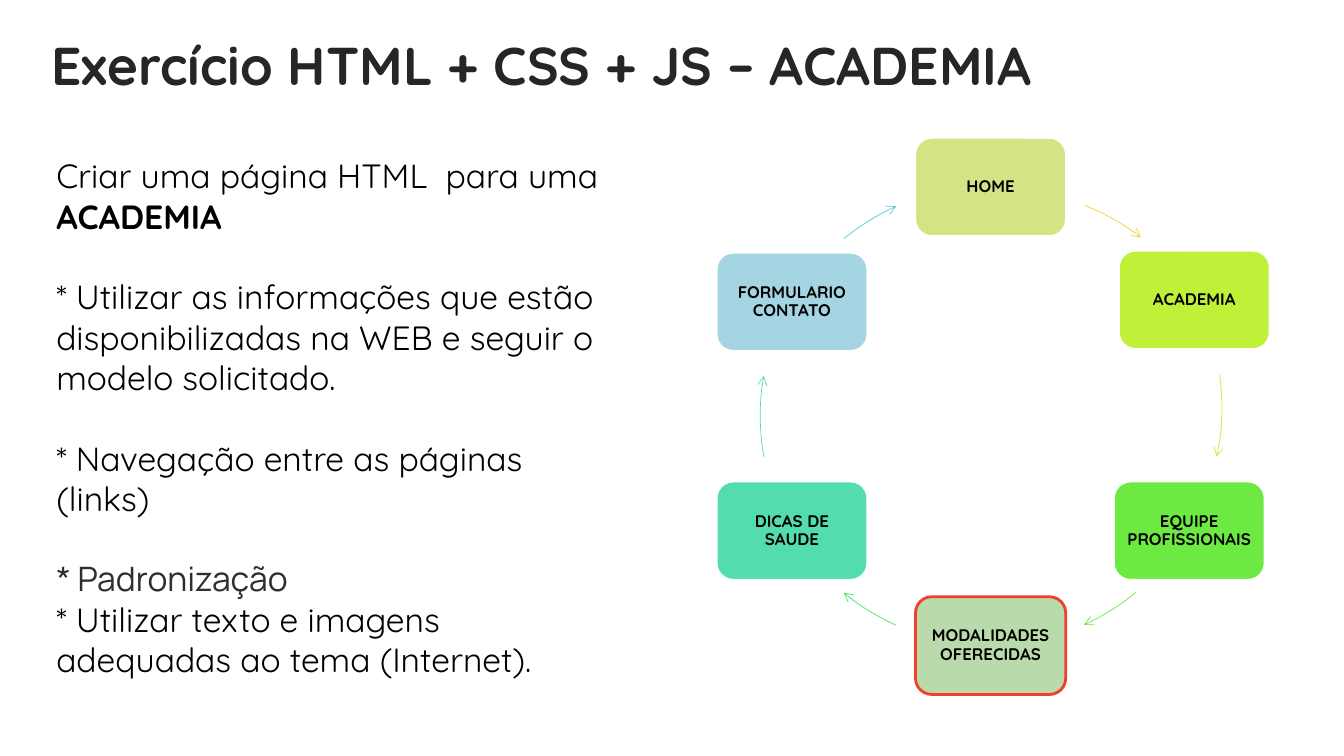
from dataclasses import dataclass

from lxml.etree import SubElement
from pptx import Presentation
from pptx.dml.color import RGBColor
from pptx.enum.shapes import MSO_SHAPE
from pptx.enum.text import MSO_ANCHOR, PP_ALIGN
from pptx.oxml.ns import qn
from pptx.util import Inches, Pt


@dataclass(frozen=True)
class Theme:
    font: str = "Quicksand"
    alt: str = "Manrope"
    ink: str = "000000"
    title: str = "262626"
    soft: str = "2F2F2F"
    white: str = "FFFFFF"
    accent: str = "F03F2B"
    head: float = 38
    body: float = 24
    label: float = 12
    gap: float = 28.8


THEME = Theme()

# Body items: plain text, bold text, gap before, font, colour
ITEMS = [
    ("Criar uma página HTML  para uma ", "ACADEMIA", 0, THEME.font, THEME.ink),
    ("* Utilizar as informações que estão disponibilizadas na WEB "
     "e seguir o modelo solicitado.", "", THEME.gap, THEME.font, THEME.ink),
    ("* Navegação entre as páginas (links)", "", THEME.gap,
     THEME.font, THEME.ink),
    ("* Padronização", "", THEME.gap, THEME.alt, THEME.soft),
    ("* Utilizar texto e imagens adequadas ao tema (Internet).", "", 0,
     THEME.font, THEME.ink),
]

# Pages of the cycle: label, left, top, fill, outline colour, outline width
PAGES = [
    ("HOME", 1.97, 0, "D4E485", THEME.white, 1),
    ("ACADEMIA", 3.99, 1.12, "BEF138", THEME.white, 1),
    ("EQUIPE PROFISSIONAIS", 3.94, 3.41, "6DEA41", THEME.white, 1),
    ("MODALIDADES OFERECIDAS", 1.97, 4.55, "B9DAAB", THEME.accent, 2),
    ("DICAS DE SAUDE", 0, 3.41, "53DDAF", THEME.white, 1),
    ("FORMULARIO CONTATO", 0, 1.14, "A5D4E2", THEME.white, 1),
]

# Arrows of the cycle: circle left, circle top, start and end angle, colour
ARROWS = [
    (0.54, 0.51, 291.5, 307.7, "F8D22F"),
    (0.46, 0.40, 351.8, 12.3, "BEF138"),
    (0.43, 0.48, 50.3, 65.7, "6DEA41"),
    (0.43, 0.48, 114, 129.5, "4AE369"),
    (0.43, 0.48, 169.7, 190, "53DDAF"),
    (0.43, 0.48, 230.5, 246, "5CC6D6"),
]
CARD = (1.49, 0.97)
RING = 4.55


def style(run, size, color, bold=False, font=THEME.font):
    run.font.name = font
    run.font.size = Pt(size)
    run.font.bold = bold
    run.font.color.rgb = RGBColor.from_string(color)


def add_box(slide, box):
    frame = slide.shapes.add_textbox(*map(Inches, box)).text_frame
    frame.word_wrap = True
    return frame


def add_title(slide, box, text):
    frame = add_box(slide, box)
    frame.vertical_anchor = MSO_ANCHOR.MIDDLE
    frame.text = text
    para = frame.paragraphs[0]
    para.line_spacing = 0.9
    style(para.runs[0], THEME.head, THEME.title, True)


def add_body(slide, box, items):
    frame = add_box(slide, box)
    for i, (plain, strong, gap, font, color) in enumerate(items):
        para = frame.add_paragraph() if i else frame.paragraphs[0]
        para.text = plain
        para.space_before = Pt(gap)
        style(para.runs[0], THEME.body, color, font=font)
        if strong:
            run = para.add_run()
            run.text = strong
            style(run, THEME.body, color, True, font)


def add_page(shapes, box, text, fill, edge, width):
    card = shapes.add_shape(MSO_SHAPE.ROUNDED_RECTANGLE, *map(Inches, box))
    card.shadow.inherit = False
    card.fill.solid()
    card.fill.fore_color.rgb = RGBColor.from_string(fill)
    card.line.color.rgb = RGBColor.from_string(edge)
    card.line.width = Pt(width)
    frame = card.text_frame
    frame.word_wrap = True
    frame.vertical_anchor = MSO_ANCHOR.MIDDLE
    frame.margin_left = frame.margin_right = Inches(0.05)
    frame.margin_top = frame.margin_bottom = Inches(0.05)
    frame.text = text
    para = frame.paragraphs[0]
    para.alignment = PP_ALIGN.CENTER
    para.line_spacing = 0.9
    para.space_after = Pt(4.2)
    style(para.runs[0], THEME.label, THEME.ink, True)


def add_arrow(shapes, box, start, end, color):
    arc = shapes.add_shape(MSO_SHAPE.ARC, *map(Inches, box))
    arc.shadow.inherit = False
    arc.fill.background()
    # Angles are stored in 60000ths of a degree, adjustments in 100000ths
    arc.adjustments[0] = start * 0.6
    arc.adjustments[1] = end * 0.6
    arc.line.color.rgb = RGBColor.from_string(color)
    arc.line.width = Pt(0.5)
    line = arc.element.spPr.find(qn("a:ln"))
    SubElement(line, qn("a:tailEnd")).set("type", "arrow")


def add_cycle(slide, left, top):
    shapes = slide.shapes.add_group_shape().shapes
    for text, x, y, *look in PAGES:
        add_page(shapes, (left + x, top + y, *CARD), text, *look)
    for x, y, *look in ARROWS:
        add_arrow(shapes, (left + x, top + y, RING, RING), *look)


def main():
    deck = Presentation()
    deck.slide_width = Inches(13.33)
    deck.slide_height = Inches(7.5)
    slide = deck.slides.add_slide(deck.slide_layouts[6])

    # Heading
    add_title(slide, (0.41, 0.22, 11.86, 0.91),
              "Exercício HTML + CSS + JS – ACADEMIA")
    # Instructions
    add_body(slide, (0.46, 1.49, 5.65, 5.35), ITEMS)
    # Site map
    add_cycle(slide, 7.11, 1.37)

    deck.save("out.pptx")


if __name__ == "__main__":
    main()
